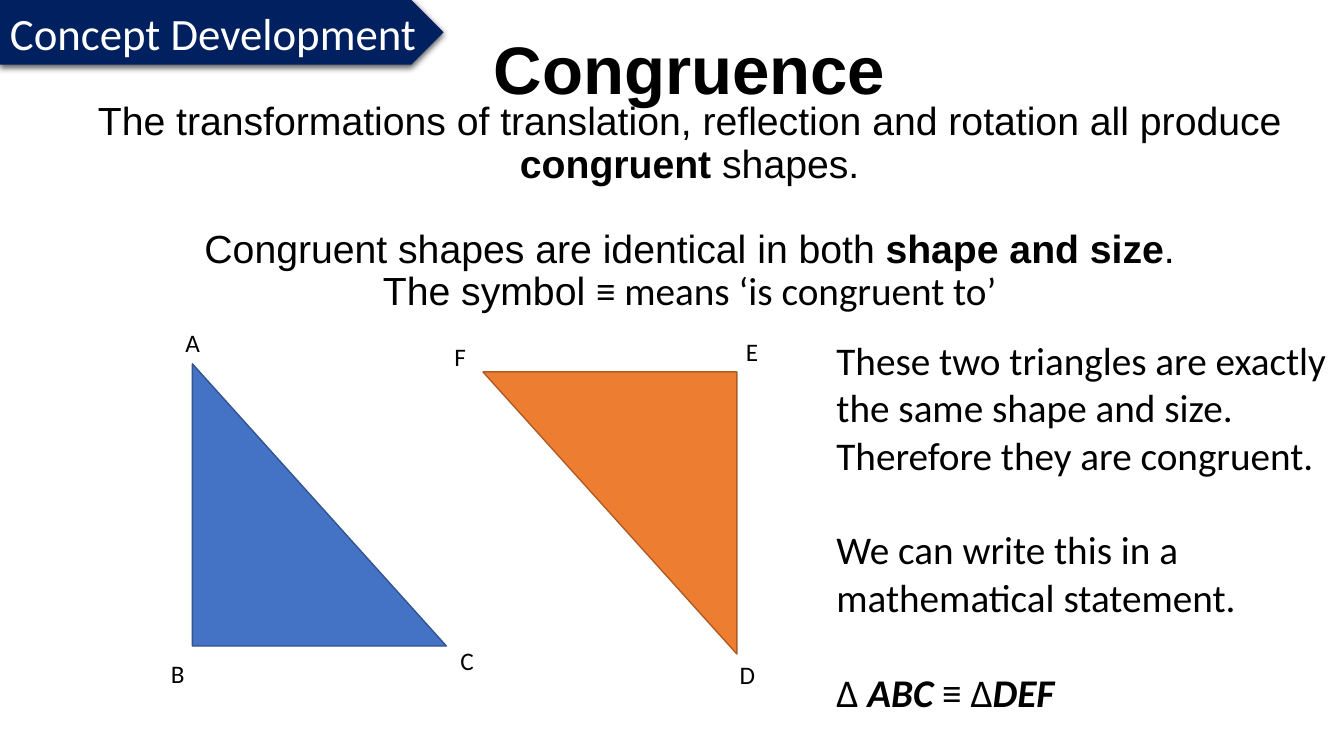
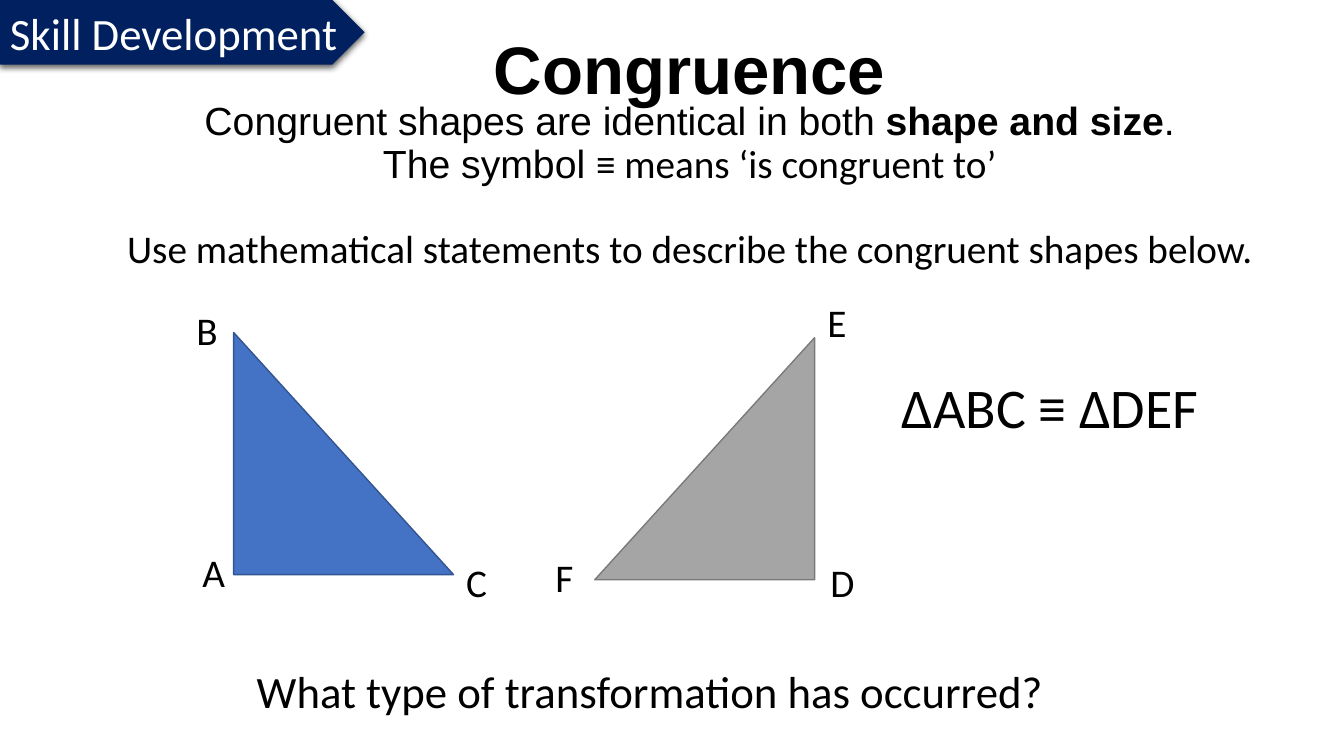
import pptx
import pptx.util
import pptx.dml.color
import pptx.enum.shapes
import pptx.enum.text
import pptx.oxml
import pptx.oxml.ns

Cm, Pt = pptx.util.Cm, pptx.util.Pt
RGBColor = pptx.dml.color.RGBColor
Shape = pptx.enum.shapes.MSO_SHAPE
Align = pptx.enum.text.PP_ALIGN
Fit = pptx.enum.text.MSO_AUTO_SIZE
Anchor = pptx.enum.text.MSO_ANCHOR

BLACK = RGBColor(0, 0, 0)
WHITE = RGBColor(255, 255, 255)
NAVY = RGBColor(0x00, 0x20, 0x60)
BLUE = (RGBColor(0x44, 0x72, 0xC4), RGBColor(0x32, 0x54, 0x91))
ORANGE = (RGBColor(0xED, 0x7D, 0x31), RGBColor(0xAF, 0x5C, 0x24))
GREY = (RGBColor(0xA5, 0xA5, 0xA5), RGBColor(0x7A, 0x7A, 0x7A))

SANS = {"name": "Calibri"}
ARIAL = {"name": "Arial"}
BOLD = {"bold": True}
BOTH = {"bold": True, "italic": True}

HEAD = (0.89, 0.69, 32.98, 1.85)
LEAD = (0.89, 2.54, 32.98, 5.6)
PITCH = Pt(30.4)
GAP = Pt(34.2)
TAG_H = 1.63

SHADOW = (
    '<a:effectLst xmlns:a="http://schemas.openxmlformats.org/drawingml/2006/main">'
    '<a:outerShdw blurRad="57150" dist="19050" dir="5400000" algn="ctr" rotWithShape="0">'
    '<a:srgbClr val="000000"><a:alpha val="63000"/></a:srgbClr>'
    '</a:outerShdw></a:effectLst>'
)

# Each paragraph is (space before, [(text, format), ...]).
RULE = [
    ("Congruent shapes are identical in both ", ARIAL),
    ("shape and size", ARIAL | BOLD),
    (".", ARIAL),
]
SIGN = [("The symbol ", ARIAL), ("≡ means ‘is congruent to’", SANS)]


def put(item, box):
    item.left, item.top, item.width, item.height = map(Cm, box)


def write(para, runs, size, color=BLACK):
    for text, style in runs:
        run = para.add_run()
        run.text = text
        for key, value in ({"size": Pt(size)} | SANS | style).items():
            setattr(run.font, key, value)
        run.font.color.rgb = color


def fill(frame, paras, size):
    """Yield each paragraph after writing it."""
    for i, (gap, runs) in enumerate(paras):
        para = frame.paragraphs[0] if i == 0 else frame.add_paragraph()
        para.space_before = gap
        write(para, runs, size)
        yield para


def note(slide, box, paras, size):
    item = slide.shapes.add_textbox(*map(Cm, box))
    item.text_frame.word_wrap = True
    list(fill(item.text_frame, paras, size))


def head(slide, text):
    title = slide.shapes.title
    put(title, HEAD)
    frame = title.text_frame
    frame.auto_size = Fit.NONE
    frame.vertical_anchor = Anchor.TOP
    frame.margin_top = frame.margin_bottom = 0
    para = frame.paragraphs[0]
    para.alignment = Align.CENTER
    write(para, [(text, ARIAL | BOLD)], 48)


def lead(slide, paras):
    """Fill the body placeholder with centred, unbulleted lines."""
    body = slide.placeholders[1]
    put(body, LEAD)
    frame = body.text_frame
    frame.auto_size = Fit.NONE
    frame.margin_top = frame.margin_bottom = 0
    for para in fill(frame, paras, 28):
        para.alignment = Align.CENTER
        para.line_spacing = PITCH
        props = para._p.get_or_add_pPr()
        props.set("marL", "0")
        props.set("indent", "0")
        pptx.oxml.ns.qn("a:buNone")
        props.append(props.makeelement(pptx.oxml.ns.qn("a:buNone"), {}))


def tag(slide, text, width):
    item = slide.shapes.add_shape(Shape.PENTAGON, 0, 0, Cm(width), Cm(TAG_H))
    item.fill.solid()
    item.fill.fore_color.rgb = NAVY
    item.line.fill.background()
    item._element.spPr.append(pptx.oxml.parse_xml(SHADOW))
    frame = item.text_frame
    frame.word_wrap = False
    frame.paragraphs[0].alignment = Align.LEFT
    write(frame.paragraphs[0], [(text, {})], 32, WHITE)


def tri(slide, box, hues, marks, size, turn=0, flip=False):
    """Draw a right triangle; marks give each letter's offset from its box."""
    item = slide.shapes.add_shape(Shape.RIGHT_TRIANGLE, *map(Cm, box))
    item.shadow.inherit = False
    item.fill.solid()
    item.fill.fore_color.rgb, item.line.color.rgb = hues
    item.line.width = Pt(1)
    item.rotation = turn
    if flip:
        item._element.spPr.xfrm.set("flipH", "1")
    for name, (dx, dy) in marks.items():
        spot = (box[0] + dx, box[1] + dy, 1.8, size * 0.05)
        note(slide, spot, [(0, [(name, {})])], size)


def start(deck, label, width, paras):
    slide = deck.slides.add_slide(deck.slide_layouts[1])
    head(slide, "Congruence")
    lead(slide, paras)
    tag(slide, label, width)
    return slide


def concept(deck):
    slide = start(deck, "Concept Development", 11.18, [
        (0, [
            ("The transformations of translation, reflection and rotation all produce ", ARIAL),
            ("congruent", ARIAL | BOLD),
            (" shapes.", ARIAL),
        ]),
        (PITCH, RULE),
        (0, SIGN),
    ])
    tri(slide, (4.85, 9.17, 6.4, 7.11), BLUE,
        {"A": (-0.43, -1.04), "B": (-0.79, 7.29), "C": (6.5, 6.96)}, 18)
    tri(slide, (12.17, 9.37, 6.4, 7.11), ORANGE,
        {"D": (6.22, 7.11), "E": (6.38, -1.02), "F": (-0.97, -0.89)}, 18, turn=180)
    note(slide, (20.83, 8.36, 13.06, 10), [
        (0, [("These two triangles are exactly the same shape and size. "
              "Therefore they are congruent.", {})]),
        (GAP, [("We can write this in a mathematical statement.", {})]),
        (GAP, [("Δ ", {}), ("ABC ", BOTH), ("≡ Δ", {}), ("DEF", BOTH)]),
    ], 28)


def skill(deck):
    slide = start(deck, "Skill Development", 9.19, [
        (0, RULE),
        (0, SIGN),
        (PITCH, [("Use mathematical statements to describe the congruent shapes below.", {})]),
    ])
    tri(slide, (5.89, 8.38, 5.54, 6.1), BLUE,
        {"A": (-1.04, 5.31), "B": (-1.19, -0.79), "C": (5.61, 5.56)}, 28)
    tri(slide, (14.99, 8.51, 5.54, 6.1), GREY,
        {"D": (5.69, 5.44), "E": (5.61, -1.12), "F": (-1.24, 5.31)}, 28, flip=True)
    note(slide, (22.48, 9.25, 8.71, 1.96), [(0, [("ΔABC ≡ ΔDEF", {})])], 40)
    note(slide, (6.22, 16.59, 20.6, 1.63),
         [(0, [("What type of transformation has occurred?", {})])], 32)


def main():
    deck = pptx.Presentation()
    deck.slide_width, deck.slide_height = Cm(33.87), Cm(19.05)
    concept(deck)
    skill(deck)
    deck.save("out.pptx")


if __name__ == "__main__":
    main()
